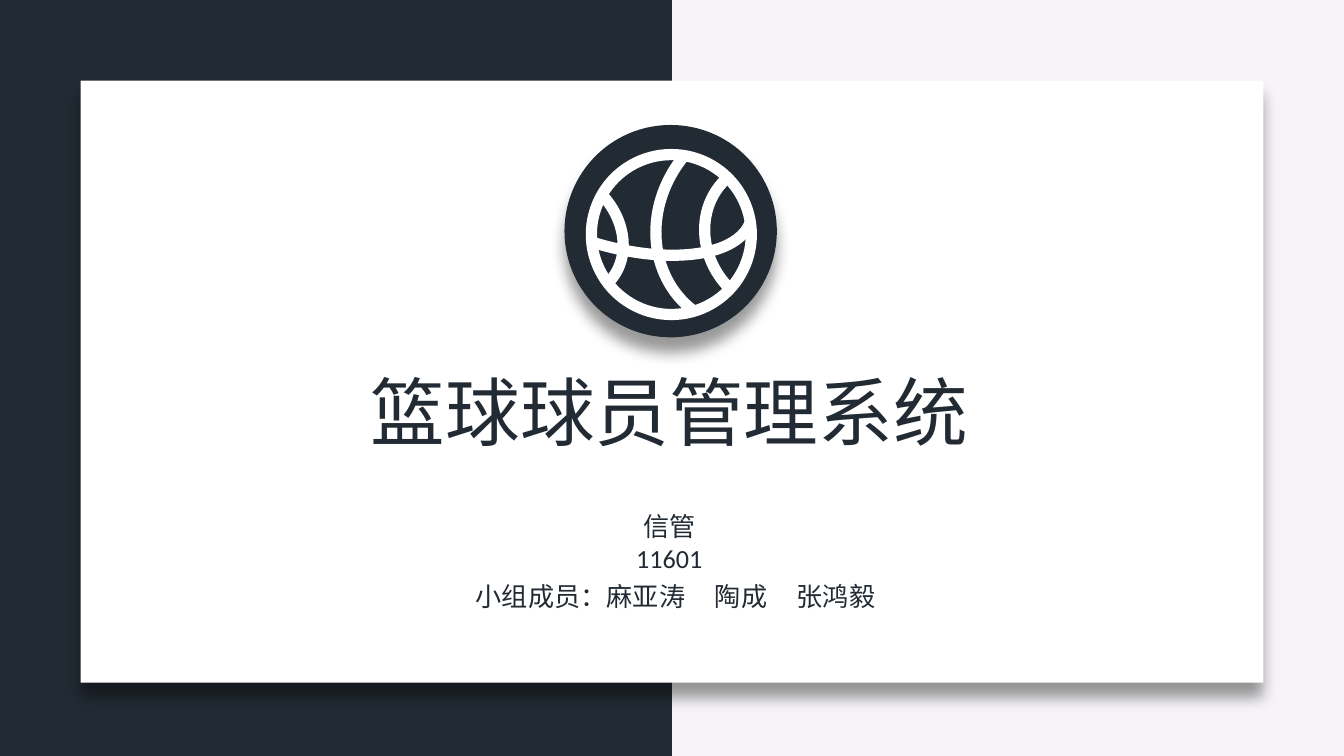
from dataclasses import dataclass

from lxml.etree import SubElement
from pptx import Presentation
from pptx.dml.color import RGBColor
from pptx.enum.shapes import MSO_SHAPE
from pptx.enum.text import MSO_ANCHOR, PP_ALIGN
from pptx.oxml.ns import qn
from pptx.util import Inches, Pt

DARK, PALE, WHITE = "222B34", "F6F4F7", "FFFFFF"
WIDE = 10
HIGH = WIDE * 9 / 16


@dataclass
class Seam:
    left: float
    top: float
    width: float
    height: float
    turn: float
    flip: str = ""


SEAMS = [
    Seam(3.51, 0.85, 2.12, 0.98, 16.7, "flipV"),
    Seam(3.67, 1.32, 1.01, 0.84, 46.7),
    Seam(4.83, 0.89, 1.68, 1.51, 308.7, "flipH"),
    Seam(5.27, 1.17, 1.08, 1.19, 315.9, "flipH"),
]


def paint(fill, color: str) -> None:
    fill.solid()
    fill.fore_color.rgb = RGBColor.from_string(color)


def place(shape, left: float, top: float, width: float, height: float) -> None:
    shape.left, shape.top = Inches(left), Inches(top)
    shape.width, shape.height = Inches(width), Inches(height)


def draw(slide, kind, box: tuple, fill: str = "", line: str = ""):
    shape = slide.shapes.add_shape(kind, *map(Inches, box))
    shape.shadow.inherit = False
    if fill:
        paint(shape.fill, fill)
    else:
        shape.fill.background()
    if line:
        paint(shape.line.fill, line)
        shape.line.width = Pt(6)
    else:
        shape.line.fill.background()
    return shape


def shade(shape) -> None:
    """Drop a soft shadow straight down."""
    effects = shape.element.spPr.find(qn("a:effectLst"))
    outer = SubElement(effects, qn("a:outerShdw"), blurRad=str(Pt(8)),
                       dist=str(Pt(8)), dir="5400000", algn="t", rotWithShape="0")
    color = SubElement(outer, qn("a:srgbClr"), val="000000")
    SubElement(color, qn("a:alpha"), val="40000")


def write(shape, text: str, *, size: float, align=PP_ALIGN.LEFT, gap: float = 0) -> None:
    """Set the text; gap widens each space by that many points."""
    frame = shape.text_frame
    frame.word_wrap = True
    frame.vertical_anchor = MSO_ANCHOR.TOP
    para = frame.paragraphs[0]
    para.alignment = align
    para.space_before = Pt(0)
    for piece in text.replace(" ", "| |").split("|"):
        run = para.add_run()
        run.text = piece
        font = run.font
        font.size, font.name = Pt(size), "Calibri"
        font.color.rgb = RGBColor.from_string(DARK)
        if piece == " ":
            font._element.set("spc", str(round(gap * 100)))


def seam(slide, part: Seam) -> None:
    box = (part.left, part.top, part.width, part.height)
    arc = draw(slide, MSO_SHAPE.ARC, box, line=WHITE)
    arc.rotation = part.turn
    if part.flip:
        arc.element.spPr.find(qn("a:xfrm")).set(part.flip, "1")


def main() -> None:
    deck = Presentation()
    deck.slide_width, deck.slide_height = Inches(WIDE), Inches(HIGH)
    slide = deck.slides.add_slide(deck.slide_layouts[0])

    # Two-tone backdrop and card
    paint(slide.background.fill, PALE)
    draw(slide, MSO_SHAPE.RECTANGLE, (0, 0, WIDE / 2, HIGH), DARK)
    shade(draw(slide, MSO_SHAPE.RECTANGLE, (0.6, 0.6, 8.8, 4.48), WHITE))

    # Title and members, raised above the card
    title, team = slide.placeholders
    for holder in (title, team):
        holder.element.getparent().append(holder.element)
    place(title, 2.66, 2.67, 4.69, 0.77)
    write(title, "篮球球员管理系统", size=40)
    place(team, 3.44, 4.27, 3.25, 0.34)
    write(team, "小组成员：麻亚涛 陶成 张鸿毅", size=14, gap=12.6)

    # Class name, narrow enough to break before the number
    group = slide.shapes.add_textbox(*map(Inches, (4.48, 3.75, 1, 0.34)))
    write(group, "信管11601", size=14, align=PP_ALIGN.CENTER)

    # Basketball badge
    shade(draw(slide, MSO_SHAPE.OVAL, (4.2, 0.93, 1.58, 1.58), DARK))
    draw(slide, MSO_SHAPE.OVAL, (4.4, 1.15, 1.19, 1.19), DARK, WHITE)
    for part in SEAMS:
        seam(slide, part)

    deck.save("out.pptx")


if __name__ == "__main__":
    main()
